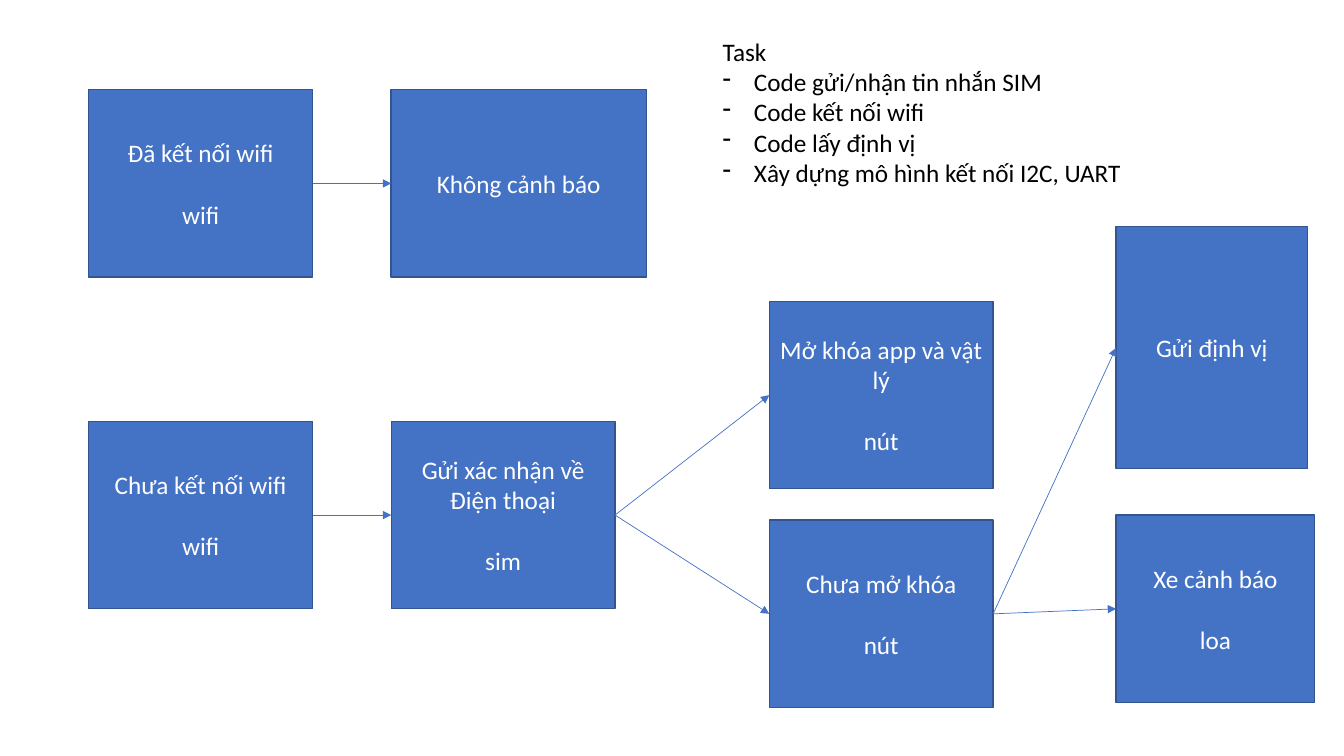
from lxml import etree
from pptx import Presentation
from pptx.dml.color import RGBColor
from pptx.enum.shapes import MSO_CONNECTOR, MSO_SHAPE
from pptx.enum.text import MSO_ANCHOR, MSO_AUTO_SIZE, PP_ALIGN
from pptx.oxml.ns import qn
from pptx.util import Emu, Pt

STRAIGHT = MSO_CONNECTOR.STRAIGHT
RECTANGLE = MSO_SHAPE.RECTANGLE
MIDDLE = MSO_ANCHOR.MIDDLE
FIT_SHAPE = MSO_AUTO_SIZE.SHAPE_TO_FIT_TEXT
LEFT = PP_ALIGN.LEFT
CENTER = PP_ALIGN.CENTER

EMU_PER_PX = 9144
LEFT_SITE, RIGHT_SITE = 1, 3
BOX_WIDTH, BOX_HEIGHT = 222, 186
WIFI_X, RESPONSE_X, LOCK_X, ALERT_X = 88, 388, 763, 1107
CONNECTED_Y, DISCONNECTED_Y = 89, 418


def px(length):
    return Emu(length * EMU_PER_PX)


def color(value):
    return RGBColor.from_string(value)


class Flowchart:
    font = "Calibri"
    text_size = 18
    paragraph_gap = 22
    fill = "4472C4"
    outline = "325491"
    box_text = "FFFFFF"
    note_text = "000000"

    def __init__(self, slide):
        self.slide = slide

    def add_text(self, paragraph, text, text_color, alignment):
        paragraph.alignment = alignment
        run = paragraph.add_run()
        run.text = text
        run.font.name = self.font
        run.font.size = Pt(self.text_size)
        run.font.color.rgb = color(text_color)

    def box(self, x, y, label, device=None, width=BOX_WIDTH, height=BOX_HEIGHT):
        shape = self.slide.shapes.add_shape(RECTANGLE, px(x), px(y), px(width), px(height))
        shape.shadow.inherit = False
        shape.fill.solid()
        shape.fill.fore_color.rgb = color(self.fill)
        shape.line.color.rgb = color(self.outline)
        shape.line.width = Pt(1)
        frame = shape.text_frame
        frame.word_wrap = True
        frame.vertical_anchor = MIDDLE
        self.add_text(frame.paragraphs[0], label, self.box_text, CENTER)
        if device:
            paragraph = frame.add_paragraph()
            paragraph.space_before = Pt(self.paragraph_gap)
            self.add_text(paragraph, device, self.box_text, CENTER)
        return shape

    def arrow(self, source, target):
        connector = self.slide.shapes.add_connector(STRAIGHT, 0, 0, 0, 0)
        connector.begin_connect(source, RIGHT_SITE)
        connector.end_connect(target, LEFT_SITE)
        connector.line.color.rgb = color(self.fill)
        connector.line.width = Pt(0.5)
        properties = connector._element.spPr
        etree.SubElement(properties.find(qn("a:ln")), qn("a:tailEnd"), type="triangle")
        etree.SubElement(properties, qn("a:effectLst"))

    def task_list(self, x, y, width, height, title, tasks, indent=31):
        shape = self.slide.shapes.add_textbox(px(x), px(y), px(width), px(height))
        frame = shape.text_frame
        frame.word_wrap = False
        frame.auto_size = FIT_SHAPE
        self.add_text(frame.paragraphs[0], title, self.note_text, LEFT)
        for task in tasks:
            paragraph = frame.add_paragraph()
            self.add_text(paragraph, task, self.note_text, LEFT)
            properties = paragraph._p.get_or_add_pPr()
            properties.set("marL", str(px(indent)))
            properties.set("indent", str(-px(indent)))
            etree.SubElement(properties, qn("a:buChar"), char="-")


def main():
    presentation = Presentation()
    presentation.slide_width = px(1333)
    presentation.slide_height = px(750)
    slide = presentation.slides.add_slide(presentation.slide_layouts[6])
    chart = Flowchart(slide)

    connected = chart.box(WIFI_X, CONNECTED_Y, "Đã kết nối wifi", "wifi")
    no_warning = chart.box(RESPONSE_X, CONNECTED_Y, "Không cảnh báo", width=253)
    disconnected = chart.box(WIFI_X, DISCONNECTED_Y, "Chưa kết nối wifi", "wifi")
    confirmation = chart.box(RESPONSE_X, DISCONNECTED_Y, "Gửi xác nhận về Điện thoại", "sim")
    unlocked = chart.box(LOCK_X, 299, "Mở khóa app và vật lý", "nút")
    locked = chart.box(LOCK_X, 516, "Chưa mở khóa", "nút")
    location = chart.box(ALERT_X, 225, "Gửi định vị", width=190, height=240)
    alarm = chart.box(ALERT_X, 511, "Xe cảnh báo", "loa", width=197)

    for source, target in (
        (connected, no_warning),
        (disconnected, confirmation),
        (confirmation, unlocked),
        (confirmation, locked),
        (locked, location),
        (locked, alarm),
    ):
        chart.arrow(source, target)

    chart.task_list(707, 31, 420, 162, "Task", (
        "Code gửi/nhận tin nhắn SIM",
        "Code kết nối wifi",
        "Code lấy định vị",
        "Xây dựng mô hình kết nối I2C, UART",
    ))
    presentation.save("out.pptx")


if __name__ == "__main__":
    main()
